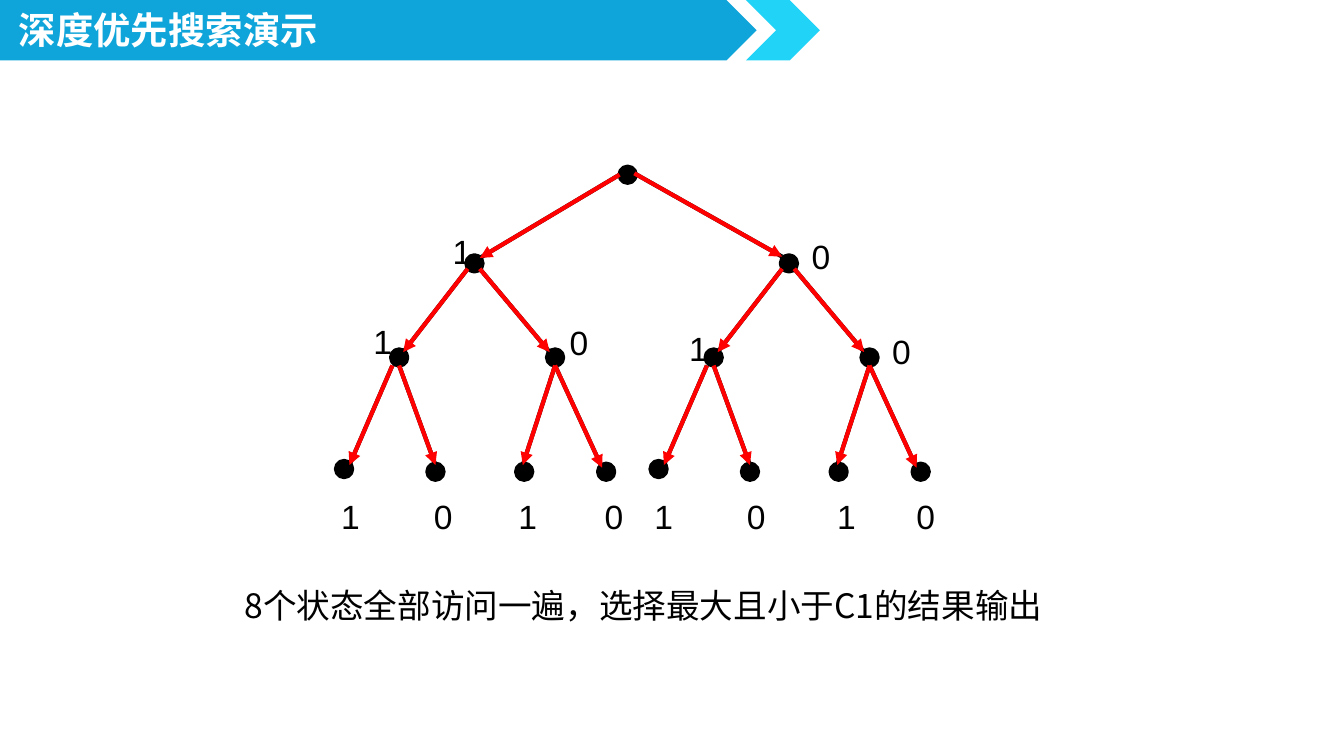
from typing import NamedTuple

import pptx
import pptx.dml.color
import pptx.enum.shapes
import pptx.enum.text
import pptx.oxml
import pptx.oxml.ns
import pptx.util
from pptx.util import Inches

COLORS = {"bar": "10A5DA", "tip": "21D3F7", "ink": "000000",
          "path": "FF0000", "title": "FFFFFF"}
SANS, HAN = "Arial", "Noto Sans CJK SC"
KIND = pptx.enum.shapes.MSO_SHAPE
DOT = 0.12      # node diameter
SHIFT = 2.34    # from the left subtree to the right one
LEAF_Y = 3.64   # top of the leaf labels


class Node(NamedTuple):
    x: float
    y: float


class Edge(NamedTuple):
    x1: float
    y1: float
    x2: float
    y2: float


class Label(NamedTuple):
    text: str
    x: float
    y: float


# One subtree, drawn twice
NODES = [Node(3.47, 1.9), Node(2.91, 2.6), Node(4.07, 2.6), Node(2.5, 3.43),
         Node(3.18, 3.45), Node(3.84, 3.45), Node(4.45, 3.45)]
EDGES = [Edge(3.48, 2, 3, 2.62), Edge(3.57, 2, 4.09, 2.62),
         Edge(2.92, 2.72, 2.6, 3.46), Edge(2.97, 2.72, 3.24, 3.46),
         Edge(4.13, 2.72, 3.89, 3.46), Edge(4.13, 2.72, 4.48, 3.48)]
ROOT = Node(4.61, 1.24)
TOP = [Edge(4.61, 1.3, 3.57, 1.92), Edge(4.72, 1.29, 5.82, 1.91)]

INNER = [Label("1", 3.27, 1.67), Label("0", 5.94, 1.71),
         Label("1", 2.68, 2.34), Label("0", 4.14, 2.35),
         Label("1", 5.03, 2.39), Label("0", 6.54, 2.41)]
LEAF_X = [2.44, 3.13, 3.76, 4.4, 4.77, 5.46, 6.13, 6.72]
LEAVES = [Label("10"[i % 2], x, LEAF_Y) for i, x in enumerate(LEAF_X)]


def rgb(name: str) -> pptx.dml.color.RGBColor:
    return pptx.dml.color.RGBColor.from_string(COLORS[name])


def add_shape(slide, kind, x: float, y: float, w: float, h: float, color: str):
    shape = slide.shapes.add_shape(kind, Inches(x), Inches(y), Inches(w), Inches(h))
    shape.shadow.inherit = False
    shape.fill.solid()
    shape.fill.fore_color.rgb = rgb(color)
    shape.line.fill.background()
    return shape


def add_node(slide, node: Node) -> None:
    dot = add_shape(slide, KIND.OVAL, node.x, node.y, DOT, DOT, "ink")
    dot.line.color.rgb = rgb("ink")
    dot.line.width = pptx.util.Pt(2.25)


def add_edge(slide, edge: Edge, color: str, arrow: bool = False) -> None:
    line = slide.shapes.add_connector(
        pptx.enum.shapes.MSO_CONNECTOR.STRAIGHT, *map(Inches, edge))
    line.line.color.rgb = rgb(color)
    line.line.width = pptx.util.Pt(2.25)
    props = line._element.spPr
    if arrow:
        tail = pptx.oxml.parse_xml(
            f'<a:tailEnd {pptx.oxml.ns.nsdecls("a")} type="triangle"/>')
        props.find(pptx.oxml.ns.qn("a:ln")).append(tail)
    props.append(pptx.oxml.parse_xml(f'<a:effectLst {pptx.oxml.ns.nsdecls("a")}/>'))


def set_text(frame, text: str, size: float, face: str, color: str,
             bold: bool = False) -> None:
    frame.text = text
    para = frame.paragraphs[0]
    para.alignment = pptx.enum.text.PP_ALIGN.LEFT
    font = para.font
    font.size, font.bold, font.name = pptx.util.Pt(size), bold, face
    font.color.rgb = rgb(color)
    # East Asian glyphs take their own typeface entry
    base = para._p.pPr.find(pptx.oxml.ns.qn("a:defRPr"))
    base.append(pptx.oxml.parse_xml(
        f'<a:ea {pptx.oxml.ns.nsdecls("a")} typeface="{face}"/>'))


def add_text(slide, label: Label, w: float, h: float, face: str, wrap: bool) -> None:
    box = slide.shapes.add_textbox(
        Inches(label.x), Inches(label.y), Inches(w), Inches(h))
    box.text_frame.word_wrap = wrap
    set_text(box.text_frame, label.text, 18, face, "ink")


def add_head(slide, text: str) -> None:
    add_shape(slide, KIND.PENTAGON, 0, 0, 5.63, 0.45, "bar")
    add_shape(slide, KIND.CHEVRON, 5.55, 0, 0.55, 0.45, "tip")
    title = slide.shapes.title
    title.left, title.top = Inches(0.04), Inches(0)
    title.width, title.height = Inches(4.75), Inches(0.44)
    frame = title.text_frame
    frame.auto_size = pptx.enum.text.MSO_AUTO_SIZE.NONE
    frame.vertical_anchor = pptx.enum.text.MSO_ANCHOR.MIDDLE
    set_text(frame, text, 20, HAN, "title", True)
    # Bring the title in front of the bar
    slide.shapes._spTree.append(title._element)


def add_tree(slide) -> None:
    shifts = (0, SHIFT)
    nodes = [ROOT] + [Node(n.x + dx, n.y) for dx in shifts for n in NODES]
    edges = TOP + [Edge(e.x1 + dx, e.y1, e.x2 + dx, e.y2)
                   for dx in shifts for e in EDGES]
    for node in nodes:
        add_node(slide, node)
    for edge in edges:
        add_edge(slide, edge, "ink")
    for label in INNER + LEAVES:
        add_text(slide, label, 0.34, 0.4, SANS, False)
    # Arrows along the visited edges
    for edge in edges:
        add_edge(slide, edge, "path", arrow=True)


def main() -> None:
    deck = pptx.Presentation()
    # Wide 16:9 page
    deck.slide_width = Inches(10)
    deck.slide_height = deck.slide_width * 9 // 16
    slide = deck.slides.add_slide(deck.slide_layouts.get_by_name("Title Only"))
    add_head(slide, "深度优先搜索演示")
    add_tree(slide)
    note = Label("8个状态全部访问一遍，选择最大且小于C1的结果输出", 1.72, 4.3)
    add_text(slide, note, 6.19, 0.4, HAN, True)
    deck.save("out.pptx")


if __name__ == "__main__":
    main()
